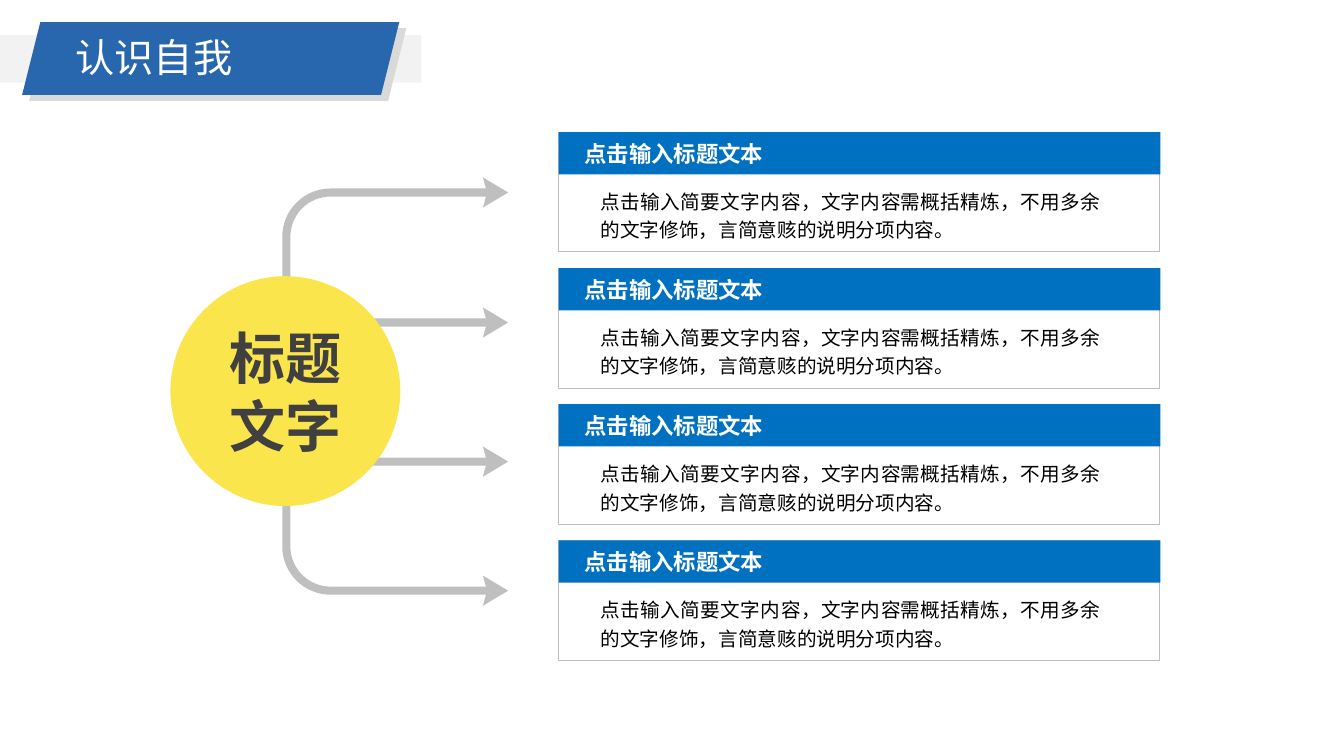
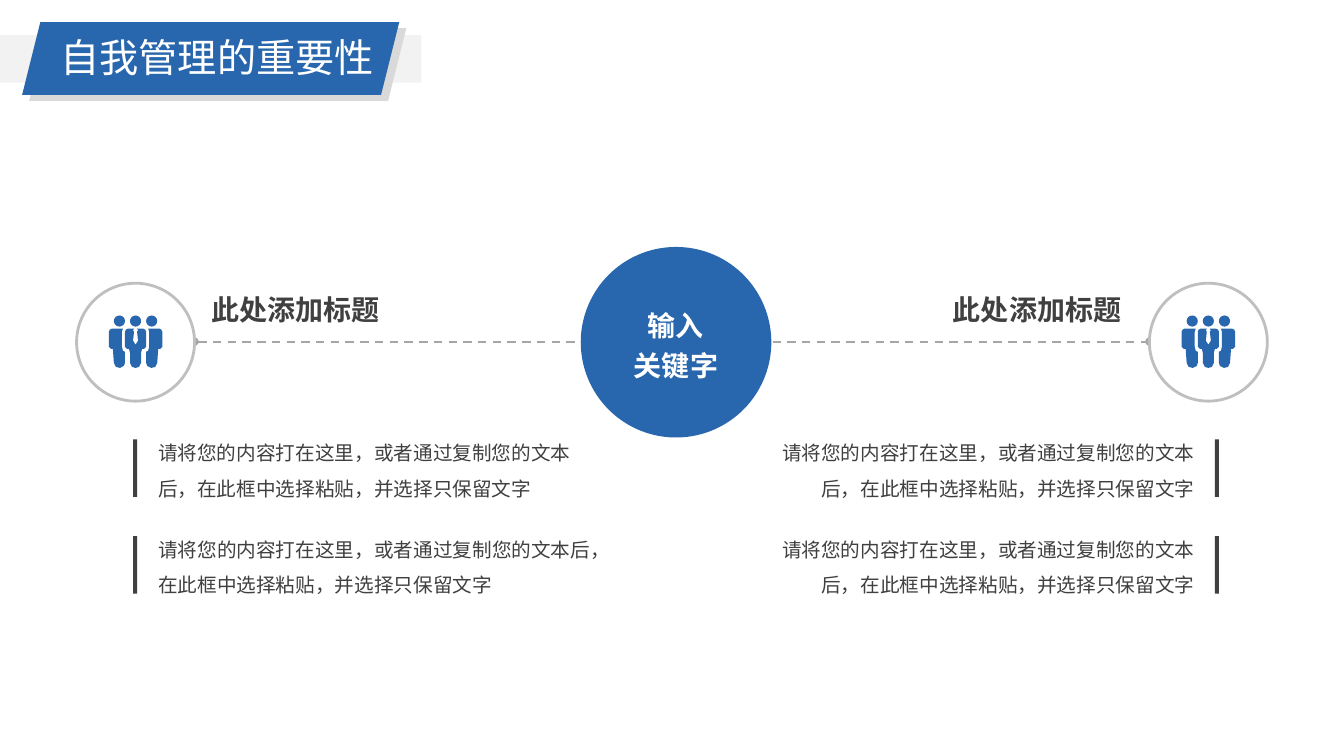
from math import cos, radians, sin

from lxml.etree import SubElement
from pptx import Presentation
from pptx.dml.color import RGBColor
from pptx.enum.dml import MSO_LINE
from pptx.enum.shapes import MSO_CONNECTOR, MSO_SHAPE as Preset
from pptx.enum.text import MSO_ANCHOR as Anchor, MSO_AUTO_SIZE, PP_ALIGN as Align
from pptx.oxml.ns import qn
from pptx.util import Inches, Pt

FONT = "Noto Sans CJK SC"
NAVY, BLUE, YELLOW = "2866AD", "0070C0", "FBE54D"
WHITE, BLACK, DARK = "FFFFFF", "000000", "404040"
PALE, LIGHT, GREY, MID = "F2F2F2", "D9D9D9", "BFBFBF", "A6A6A6"


def rgb(value):
    return RGBColor.from_string(value)


def arc(centre_x, centre_y, radius, start, end, steps=16):
    """Points along an arc; angles in degrees, y growing downwards."""
    angles = [radians(start + (end - start) * i / steps) for i in range(steps + 1)]
    return [(centre_x + radius * cos(a), centre_y + radius * sin(a)) for a in angles]


class Builder:
    """Holds the shared style and the slide being drawn."""

    def __init__(self):
        self.deck = Presentation()
        self.deck.slide_width, self.deck.slide_height = Inches(13.33), Inches(7.5)
        self.layout = self.deck.slide_layouts[5]
        for holder in list(self.layout.placeholders)[1:]:
            holder.element.getparent().remove(holder.element)
        self.page = None

    def add_page(self, title, left, width):
        self.page = self.deck.slides.add_slide(self.layout)
        if len(self.deck.slides) == 1:
            self.add_bands()
        box = self.page.shapes.title
        box.left, box.top, box.width, box.height = map(Inches, (left, 0.28, width, 0.57))
        self.set_text(box, title, 28, WHITE)

    def add_bands(self):
        """Draw the title bands and move them to the layout."""
        bands = (
            self.shape(Preset.RECTANGLE, 0, 0.35, 4.18, 0.47, PALE),
            self.shape(Preset.PARALLELOGRAM, 0.29, 0.28, 3.74, 0.72, LIGHT),
            self.shape(Preset.PARALLELOGRAM, 0.22, 0.22, 3.74, 0.72, NAVY),
        )
        holder = self.layout.placeholders[0].element
        for band in bands:
            holder.addprevious(band.element)

    def paint(self, shape, fill, line=None, line_width=0.75):
        shape.shadow.inherit = False
        shape.fill.solid()
        shape.fill.fore_color.rgb = rgb(fill)
        if line:
            shape.line.color.rgb = rgb(line)
            shape.line.width = Pt(line_width)
        else:
            shape.line.fill.background()
        return shape

    def shape(self, preset, left, top, width, height, fill, line=None, line_width=0.75):
        shape = self.page.shapes.add_shape(preset, *map(Inches, (left, top, width, height)))
        return self.paint(shape, fill, line, line_width)

    def outline(self, contours, fill):
        """Draw closed contours, given as points in inches, as one shape."""
        first, *others = [[(Inches(x), Inches(y)) for x, y in points] for points in contours]
        freeform = self.page.shapes.build_freeform(*first[0])
        freeform.add_line_segments(first[1:])
        for points in others:
            freeform.move_to(*points[0])
            freeform.add_line_segments(points[1:])
        return self.paint(freeform.convert_to_shape(), fill)

    def set_text(self, box, text, size, color, bold=False, align=Align.LEFT,
                 anchor=Anchor.TOP, spacing=None):
        frame = box.text_frame
        frame.text = text
        frame.word_wrap = True
        frame.auto_size = MSO_AUTO_SIZE.NONE
        frame.vertical_anchor = anchor
        for para in frame.paragraphs:
            para.alignment = align
            para.line_spacing = spacing
            for span in para.runs:
                font = span.font
                font.name, font.size, font.bold = FONT, Pt(size), bold
                font.color.rgb = rgb(color)
        for props in box.element.iter(qn("a:rPr")):
            SubElement(props, qn("a:ea")).set("typeface", FONT)

    def text(self, left, top, width, height, text, size, color, **style):
        box = self.page.shapes.add_textbox(*map(Inches, (left, top, width, height)))
        self.set_text(box, text, size, color, **style)

    def dashed_line(self, start, y, end):
        line = self.page.shapes.add_connector(
            MSO_CONNECTOR.STRAIGHT, *map(Inches, (start, y, end, y)))
        line.line.color.rgb = rgb(MID)
        line.line.width = Pt(1.5)
        line.line.dash_style = MSO_LINE.DASH
        stroke = line.element.find(f".//{qn('a:ln')}")
        for tag in ("a:headEnd", "a:tailEnd"):
            SubElement(stroke, qn(tag)).set("type", "oval")
        SubElement(line.element.spPr, qn("a:effectLst"))

    def arrow(self, y, turn=1, stem_end=None):
        """Right-pointing arrow; with stem_end its tail bends down (1) or up (-1)."""
        half, start = 0.04 * turn, 2.81
        wing = 0.15 * turn
        points = [(4.82, y - half), (4.79, y - wing), (5.04, y),
                  (4.79, y + wing), (4.82, y + half)]
        if stem_end is None:
            points += [(start, y + half), (start, y - half)]
        else:
            centre_x, centre_y = 3.28, y + 0.44 * turn
            inner, outer = 0.4, 0.48
            top = -90 * turn
            side = -180 * turn
            points += arc(centre_x, centre_y, inner, top, side)
            points += [(centre_x - inner, stem_end), (centre_x - outer, stem_end)]
            points += arc(centre_x, centre_y, outer, side, top)
        self.outline([points], GREY)

    def card(self, top, heading, body):
        left = 5.54
        self.shape(Preset.RECTANGLE, left, top, 5.96, 1.19, WHITE, GREY)
        self.shape(Preset.RECTANGLE, left, top, 5.97, 0.42, BLUE)
        self.text(left + 0.16, top + 0.03, 2.28, 0.38, heading, 16, WHITE, bold=True)
        self.text(left + 0.32, top + 0.48, 5.16, 0.64, body, 14, BLACK,
                  align=Align.JUSTIFY, spacing=1.2)

    def people_icon(self, left, top):
        """Three people side by side, drawn on a grid of hundredths of an inch."""
        width = 53
        side = [(3, 13), (14, 13), (13, 16), (13, 31), (14, 35), (16, 36), (16, 47),
                (15, 50), (11, 52), (7, 51), (5, 47), (4, 33), (2, 33), (0, 31),
                (0, 16), (1, 14)]
        half = [(26.5, 29), (24, 25), (25, 16), (24, 15), (25, 13), (19, 13), (17, 14),
                (16, 16), (16, 31), (18, 33), (20, 33), (21, 37), (21, 47), (23, 51),
                (26.5, 52)]

        def mirror(points):
            return [(width - x, y) for x, y in reversed(points)]

        heads = [arc(x, 5.5, 5.5, 0, 360) for x in (10.5, 26.5, 42.5)]
        contours = [side, mirror(side), half + mirror(half), *heads]
        self.outline([[(left + x / 100, top + y / 100) for x, y in points]
                      for points in contours], NAVY)


def build_self_knowledge(builder):
    builder.add_page("认识自我", 0.65, 1.77)
    builder.arrow(1.91, stem_end=3.57)
    builder.arrow(3.2)
    builder.arrow(4.58)
    builder.arrow(5.86, turn=-1, stem_end=4.2)
    circle = builder.shape(Preset.OVAL, 1.69, 2.74, 2.28, 2.28, YELLOW)
    builder.set_text(circle, "标题文字", 40, DARK, bold=True,
                     align=Align.CENTER, anchor=Anchor.MIDDLE)
    for row in range(4):
        builder.card(1.31 + 1.35 * row, "点击输入标题文本",
                     "点击输入简要文字内容，文字内容需概括精炼，不用多余的文字修饰，"
                     "言简意赅的说明分项内容。")


def build_self_management(builder):
    builder.add_page("自我管理的重要性", 0.5, 3.34)
    builder.dashed_line(1.93, 3.39, 11.4)
    circle = builder.shape(Preset.OVAL, 5.76, 2.45, 1.89, 1.89, NAVY)
    builder.set_text(circle, "输入\n关键字", 20, WHITE, bold=True,
                     align=Align.CENTER, anchor=Anchor.MIDDLE, spacing=1.2)
    # ring left, heading left, bar left, alignment, (left, width) of each note
    sides = (
        (0.76, 2, 1.32, Align.LEFT, ((1.47, 4.44), (1.47, 4.81))),
        (11.4, 8.73, 12.05, Align.RIGHT, ((7.51, 4.44), (7.65, 4.3))),
    )
    for ring, heading, bar, align, notes in sides:
        builder.shape(Preset.OVAL, ring, 2.81, 1.17, 1.17, WHITE, GREY, 2)
        builder.people_icon(ring + 0.32, 3.13)
        builder.text(heading, 2.92, 2.49, 0.36, "此处添加标题", 20, DARK, bold=True,
                     align=align, anchor=Anchor.BOTTOM)
        for row, (left, width) in enumerate(notes):
            top = 4.25 + 0.96 * row
            builder.shape(Preset.RECTANGLE, bar, top + 0.11, 0.04, 0.57, DARK)
            builder.text(left, top, width, 0.72,
                         "请将您的内容打在这里，或者通过复制您的文本后，"
                         "在此框中选择粘贴，并选择只保留文字",
                         14, DARK, align=align, anchor=Anchor.MIDDLE, spacing=1.5)


def main():
    builder = Builder()
    build_self_knowledge(builder)
    build_self_management(builder)
    builder.deck.save("out.pptx")


if __name__ == "__main__":
    main()
